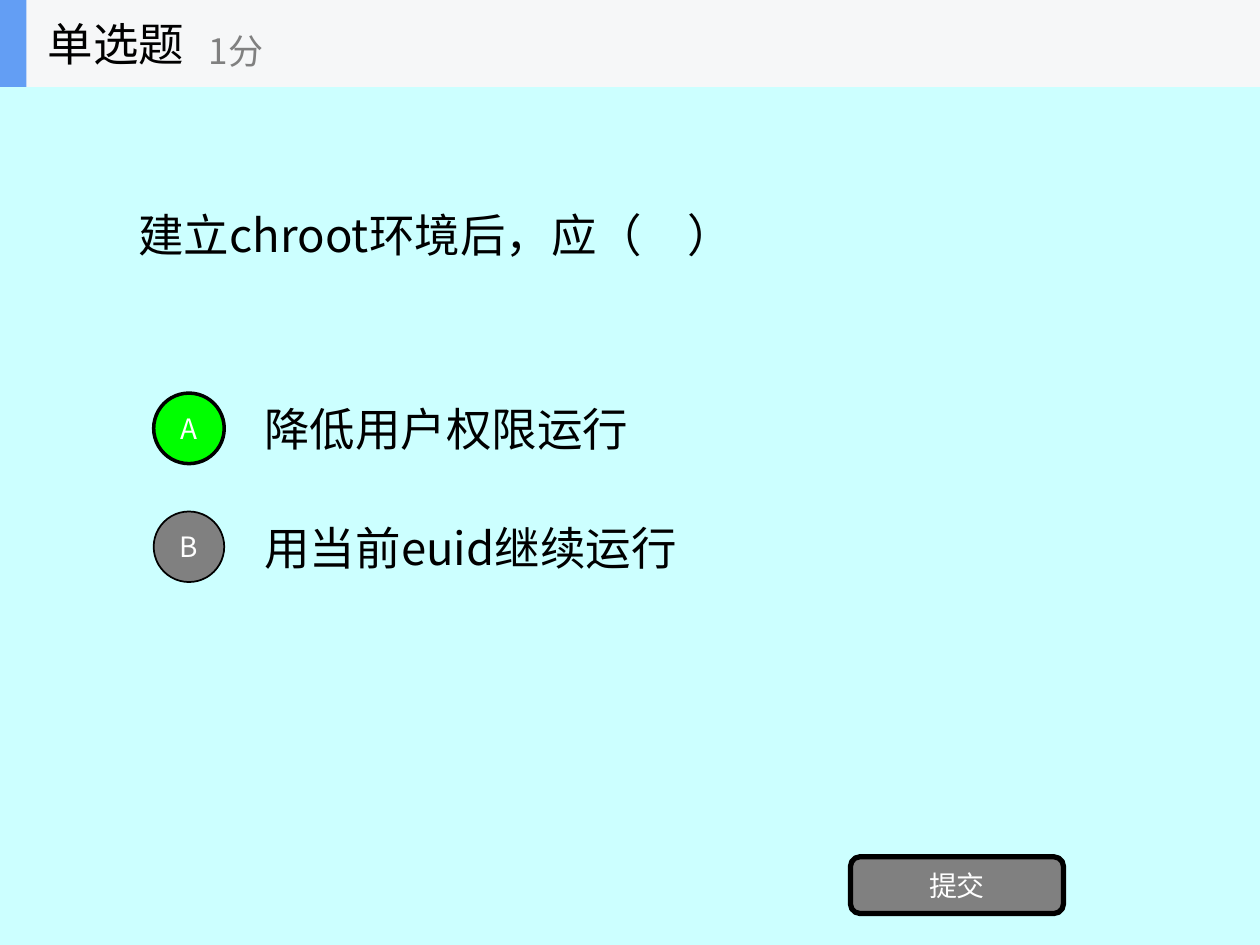
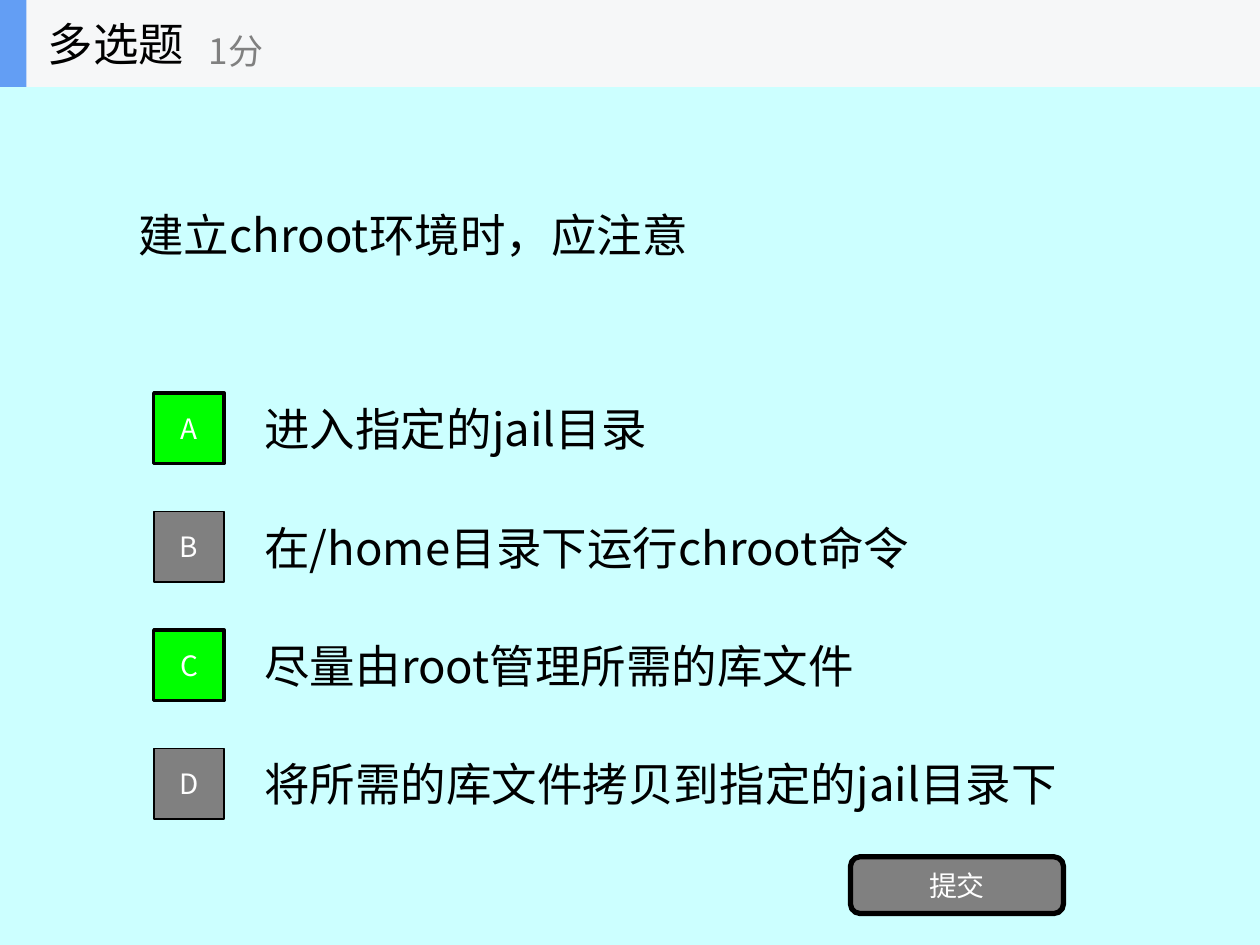
import pptx
import pptx.util
import pptx.dml.color
import pptx.enum.shapes
import pptx.enum.text
import pptx.oxml.ns
import lxml.etree

Inches = pptx.util.Inches
RGBColor = pptx.dml.color.RGBColor
SHAPE = pptx.enum.shapes.MSO_SHAPE
ALIGN = pptx.enum.text.PP_ALIGN
ANCHOR = pptx.enum.text.MSO_ANCHOR
qn = pptx.oxml.ns.qn

FONT = "Noto Sans CJK SC"
BLACK = RGBColor(0x00, 0x00, 0x00)
WHITE = RGBColor(0xFF, 0xFF, 0xFF)
GREY = RGBColor(0x80, 0x80, 0x80)
GREEN = RGBColor(0x00, 0xFF, 0x00)
CYAN = RGBColor(0xCC, 0xFF, 0xFF)
PALE = RGBColor(0xF6, 0xF7, 0xF8)
BLUE = RGBColor(0x63, 0x9E, 0xF4)
BAND = 0.69
TOP = 3.05
STEP = 0.94
SIDE = 0.56


def write(shape, text, size=26, color=BLACK, align=ALIGN.LEFT, wrap=True):
    frame = shape.text_frame
    frame.text = text
    frame.word_wrap = wrap
    frame.auto_size = pptx.enum.text.MSO_AUTO_SIZE.NONE
    frame.vertical_anchor = ANCHOR.MIDDLE
    line = frame.paragraphs[0]
    line.alignment = align
    font = line.runs[0].font
    font.name = FONT
    font.size = pptx.util.Pt(size)
    font.color.rgb = color
    east = lxml.etree.Element(qn("a:ea"), typeface=FONT)
    line.runs[0]._r.rPr.find(qn("a:latin")).addnext(east)


def draw(slide, kind, box, fill, width=0, text=""):
    shape = slide.shapes.add_shape(kind, *map(Inches, box))
    shape.shadow.inherit = False
    shape.fill.solid()
    shape.fill.fore_color.rgb = fill
    if width:
        shape.line.color.rgb = BLACK
        shape.line.width = pptx.util.Pt(width)
    else:
        shape.line.fill.background()
    if text:
        write(shape, text, size=16, color=WHITE, align=ALIGN.CENTER, wrap=False)


QUIZ = [
    ("单选题", "建立chroot环境后，应（　）", SHAPE.OVAL, "A",
     ["降低用户权限运行", "用当前euid继续运行"]),
    ("多选题", "建立chroot环境时，应注意", SHAPE.RECTANGLE, "AC",
     ["进入指定的jail目录", "在/home目录下运行chroot命令",
      "尽量由root管理所需的库文件", "将所需的库文件拷贝到指定的jail目录下"]),
]

deck = pptx.Presentation()
deck.slide_width = Inches(10)
deck.slide_height = Inches(7.5)
back = deck.slide_master.background.fill
back.solid()
back.fore_color.rgb = CYAN

for name, ask, mark, right, picks in QUIZ:
    slide = deck.slides.add_slide(deck.slide_layouts.get_by_name("Title Only"))
    shapes = slide.shapes

    draw(slide, SHAPE.RECTANGLE, (0, 0, 10, BAND), PALE)
    draw(slide, SHAPE.RECTANGLE, (0, 0, 0.21, BAND), BLUE)
    title = shapes.title
    title.left, title.top = Inches(0.28), Inches(0)
    title.width, title.height = Inches(2.08), Inches(BAND)
    write(title, name)
    shapes._spTree.append(title._element)
    score = shapes.add_textbox(*map(Inches, (1.56, 0.12, 2.5, 0.56)))
    write(score, "1分", size=20, color=GREY)

    stem = shapes.add_textbox(*map(Inches, (1, BAND, 8, 2.34)))
    write(stem, ask)

    for row, (key, pick) in enumerate(zip("ABCD", picks)):
        top = TOP + row * STEP
        good = key in right
        draw(slide, mark, (1.22, top + 0.07, SIDE, SIDE),
             GREEN if good else GREY, width=2 if good else 1, text=key)
        label = shapes.add_textbox(*map(Inches, (2, top, 7, 0.7)))
        write(label, pick)

    draw(slide, SHAPE.ROUNDED_RECTANGLE, (6.75, 6.8, 1.69, 0.45),
         GREY, width=3, text="提交")

deck.save("out.pptx")
